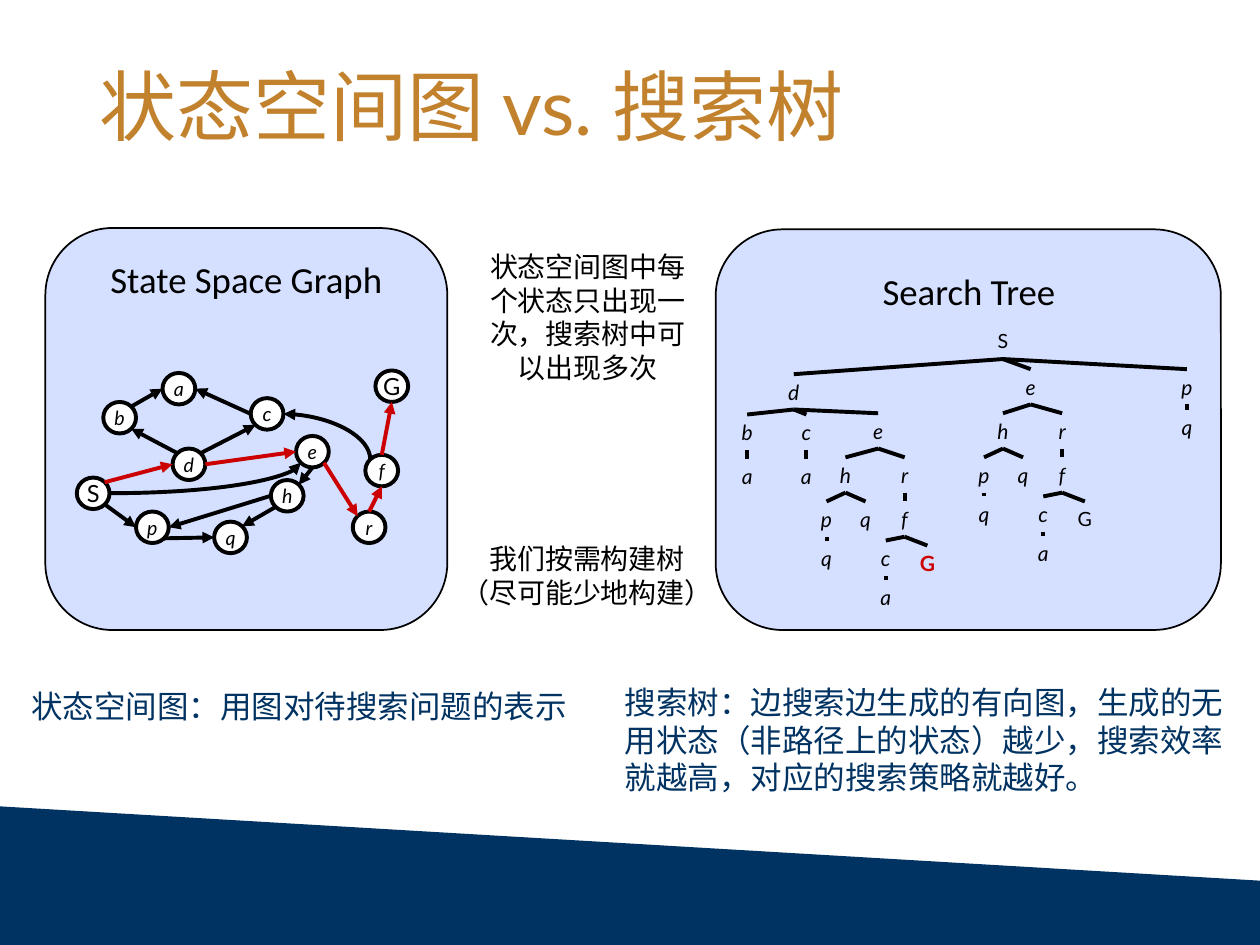
from lxml import etree
from pptx import Presentation
from pptx.dml.color import RGBColor
from pptx.enum.shapes import MSO_CONNECTOR, MSO_SHAPE
from pptx.enum.text import MSO_ANCHOR, MSO_AUTO_SIZE, PP_ALIGN
from pptx.oxml.ns import qn
from pptx.util import Inches, Pt

NAVY = RGBColor(0x00, 0x32, 0x62)
GOLD = RGBColor(0xC1, 0x81, 0x2D)
PALE = RGBColor(0xD5, 0xDF, 0xFF)
RED = RGBColor(0xCC, 0x00, 0x00)
BLACK = RGBColor(0x00, 0x00, 0x00)
WHITE = RGBColor(0xFF, 0xFF, 0xFF)

LEFT, CENTER = PP_ALIGN.LEFT, PP_ALIGN.CENTER
TOP, MIDDLE = MSO_ANCHOR.TOP, MSO_ANCHOR.MIDDLE
FIT, FIXED = MSO_AUTO_SIZE.SHAPE_TO_FIT_TEXT, MSO_AUTO_SIZE.NONE
LINE, CURVE = MSO_CONNECTOR.STRAIGHT, MSO_CONNECTOR.CURVE
ROUND, DISC = MSO_SHAPE.ROUNDED_RECTANGLE, MSO_SHAPE.FLOWCHART_CONNECTOR

DISC_W, DISC_H = 0.26, 0.25
TREE_H = 0.28
SITES = {
    "n": (0, -1), "s": (0, 1), "w": (-1, 0), "e": (1, 0),
    "nw": (-0.7, -0.7), "ne": (0.7, -0.7),
    "sw": (-0.7, 0.7), "se": (0.7, 0.7),
}
STATES = {
    "S": (0.61, 3.79), "G": (2.98, 2.94), "d": (1.37, 3.56),
    "b": (0.82, 3.19), "p": (1.08, 4.06), "q": (1.7, 4.14),
    "c": (1.99, 3.16), "e": (2.35, 3.46), "h": (2.15, 3.81),
    "a": (1.29, 2.96), "f": (2.9, 3.61), "r": (2.8, 4.06),
}
EDGES = [
    ("S", "se", "p", "w"), ("p", "se", "q", "w"), ("h", "sw", "q", "ne"),
    ("h", "w", "p", "e"), ("e", "s", "h", "ne"), ("d", "nw", "b", "se"),
    ("b", "ne", "a", "w"), ("c", "w", "a", "e"), ("d", "ne", "c", "sw"),
]
ROUTE = [
    ("S", "ne", "d", "w"), ("d", "e", "e", "w"), ("e", "se", "r", "nw"),
    ("r", "n", "f", "s"), ("f", "n", "G", "s"),
]


def write(frame, text, size=12, font="Lato", color=BLACK, bold=False,
          italic=False, align=CENTER, anchor=TOP, wrap=True, fit=FIXED,
          space=None):
    frame.word_wrap = wrap
    frame.auto_size = fit
    frame.vertical_anchor = anchor
    frame.text = text
    for para in frame.paragraphs:
        para.alignment = align
        para.line_spacing = space
        para.font.size = Pt(size)
        para.font.name = font
        para.font.bold = bold
        para.font.italic = italic
        para.font.color.rgb = color


def label(slide, text, left, top, width, height, inset=(0.07, 0.04), **style):
    box = slide.shapes.add_textbox(*map(Inches, (left, top, width, height)))
    frame = box.text_frame
    frame.margin_left = frame.margin_right = Inches(inset[0])
    frame.margin_top = frame.margin_bottom = Inches(inset[1])
    write(frame, text, fit=FIT, **style)


def shape(slide, kind, left, top, width, height, fill, weight):
    item = slide.shapes.add_shape(kind, *map(Inches, (left, top, width, height)))
    item.shadow.inherit = False
    item.fill.solid()
    item.fill.fore_color.rgb = fill
    item.line.color.rgb = BLACK
    item.line.width = Pt(weight)
    return item


def link(slide, start, end, color=BLACK, kind=LINE, arrow=None):
    item = slide.shapes.add_connector(kind, *map(Inches, (*start, *end)))
    item.line.color.rgb = color
    item.line.width = Pt(2.25)
    props = item._element.spPr
    if arrow:
        etree.SubElement(props.find(qn("a:ln")), qn(arrow), type="triangle")
    if kind == CURVE:
        props.find(qn("a:prstGeom")).set("prst", "curvedConnector2")
    etree.SubElement(props, qn("a:effectLst"))


def site(name, side):
    left, top = STATES[name]
    dx, dy = SITES[side]
    return left + DISC_W / 2 * (1 + dx), top + DISC_H / 2 * (1 + dy)


def graph(slide):
    for name, (left, top) in STATES.items():
        disc = shape(slide, DISC, left, top, DISC_W, DISC_H, WHITE, 2.25)
        big = name in "SG"
        write(disc.text_frame, name, size=13.5 if big else 11.2,
              italic=not big, anchor=MIDDLE, wrap=False)
    for edges, color in ((EDGES, BLACK), (ROUTE, RED)):
        for tail, out, head, into in edges:
            link(slide, site(tail, out), site(head, into), color,
                 arrow="a:tailEnd")
    link(slide, site("c", "e"), site("f", "nw"), kind=CURVE, arrow="a:headEnd")
    link(slide, site("S", "e"), site("e", "sw"), kind=CURVE, arrow="a:tailEnd")


def branch(x, y, shift, goal):
    return ("e", x + shift, y, {}, [
        ("h", x + 0.15, y + 0.35, {}, [
            ("p", x, y + 0.7, {}, [("q", x, y + 1.01, {}, [])]),
            ("q", x + 0.31, y + 0.7, {}, []),
        ]),
        ("r", x + 0.62, y + 0.35, {}, [
            ("f", x + 0.62, y + 0.7, {}, [
                ("c", x + 0.47, y + 1.01, {}, [("a", x + 0.47, y + 1.32, {}, [])]),
                ("G", x + 0.8, y + 1.05, goal, []),
            ]),
        ]),
    ])


def tree(slide, node):
    name, x, y, style, kids = node
    width = 0.52 if name in "SG" else 0.26
    label(slide, name, x - width / 2, y, width, TREE_H,
          **{"italic": name not in "SG", **style})
    for kid in kids:
        link(slide, (x, y + TREE_H), kid[1:3])
        tree(slide, kid)


def band(slide):
    points = [(0, 7.5), (10, 7.5), (10, 6.99)]
    build = slide.shapes.build_freeform(0, Inches(6.4))
    build.add_line_segments([(Inches(x), Inches(y)) for x, y in points])
    item = build.convert_to_shape()
    item.shadow.inherit = False
    item.fill.solid()
    item.fill.fore_color.rgb = NAVY
    item.line.fill.background()


def head(slide, text):
    title = slide.shapes.title
    title.left, title.top = Inches(0.69), Inches(0.4)
    title.width, title.height = Inches(8.62), Inches(0.95)
    write(title.text_frame, text, size=44, color=GOLD, align=LEFT,
          anchor=MIDDLE, space=0.9)


def main():
    deck = Presentation()
    deck.slide_width, deck.slide_height = Inches(10), Inches(7.5)
    slide = deck.slides.add_slide(deck.slide_layouts[5])
    band(slide)
    head(slide, "状态空间图 vs. 搜索树")
    shape(slide, ROUND, 5.68, 1.82, 4.01, 3.18, PALE, 1)
    shape(slide, ROUND, 0.36, 1.81, 3.19, 3.19, PALE, 1)

    small = {"size": 11.2}
    tree(slide, ("S", 7.96, 2.57, small, [
        ("d", 6.3, 2.97, {}, [
            ("b", 5.93, 3.29, {}, [("a", 5.93, 3.64, {}, [])]),
            ("c", 6.4, 3.29, {}, [("a", 6.4, 3.64, {}, [])]),
            branch(6.56, 3.28, 0.41, {"color": RED, "bold": True}),
        ]),
        branch(7.81, 2.93, 0.37, small),
        ("p", 9.42, 2.93, {}, [("q", 9.42, 3.25, {}, [])]),
    ]))
    graph(slide)

    label(slide, "我们按需构建树\n（尽可能少地构建）", 3.46, 4.26, 2.4, 0.61,
          size=16, font="Noto Sans CJK SC")
    label(slide, "状态空间图中每个状态只出现一次，搜索树中可以出现多次",
          3.8, 1.94, 1.73, 1.15, size=16)
    label(slide, "Search Tree", 5.69, 2.09, 4, 0.43, size=21, font="Calibri")
    label(slide, "State Space Graph", 0.55, 2, 2.81, 0.43, size=21,
          font="Calibri")
    note = {"size": 18, "color": NAVY, "align": LEFT, "inset": (0.1, 0.05)}
    label(slide, "状态空间图：用图对待搜索问题的表示", 0.15, 5.4, 4.49, 0.4,
          wrap=False, **note)
    label(slide, "搜索树：边搜索边生成的有向图，生成的无用状态（非路径上的状态）越少，"
          "搜索效率就越高，对应的搜索策略就越好。", 4.86, 5.37, 5, 1.01, **note)
    deck.save("out.pptx")


if __name__ == "__main__":
    main()
